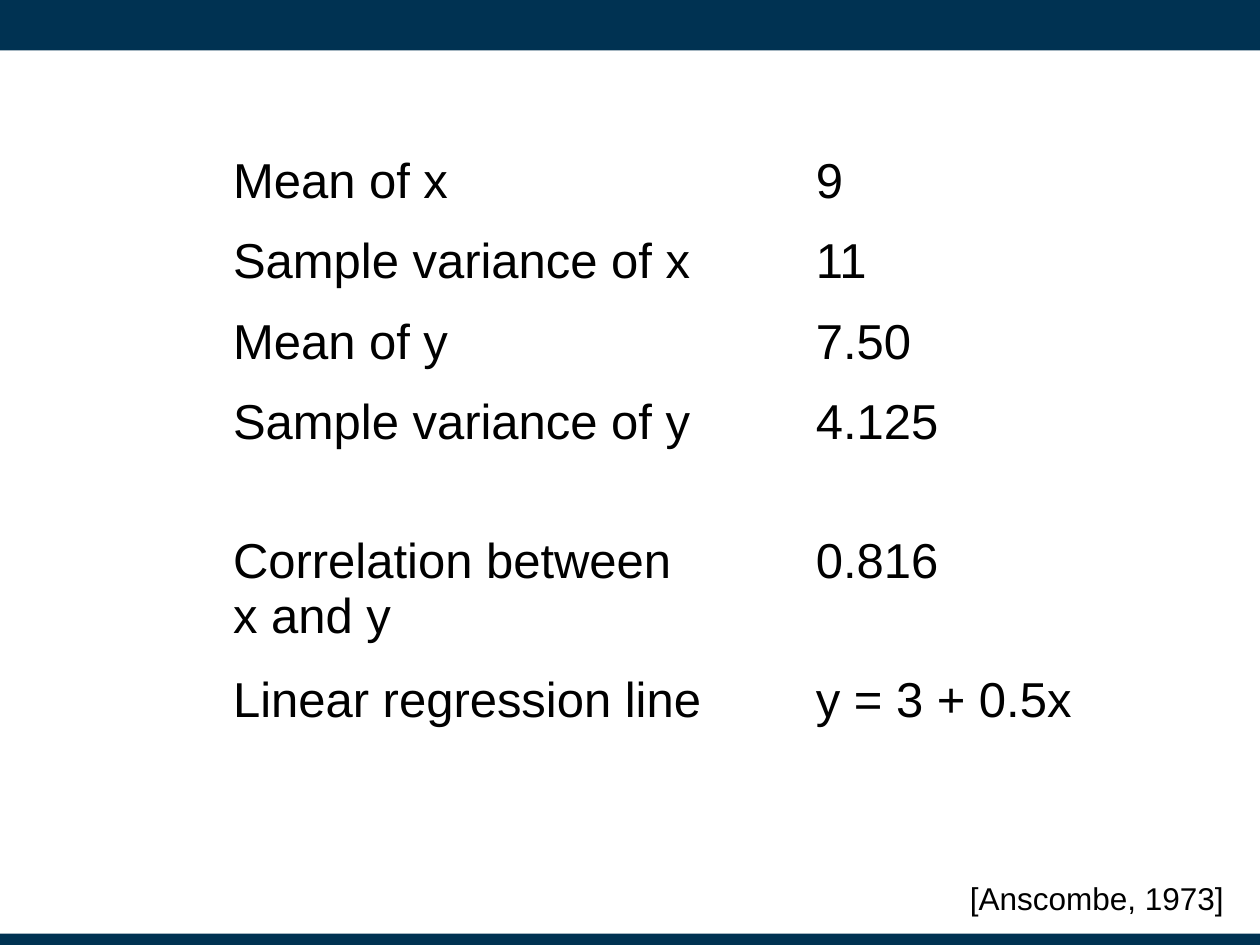
import dataclasses

import pptx
import pptx.dml.color
import pptx.enum.shapes
import pptx.util


@dataclasses.dataclass(frozen=True)
class Theme:
    font: str = "Arial"
    band: str = "003252"
    ink: str = "000000"
    table_size: int = 28
    citation_size: int = 18


THEME = Theme()
WIDTH, HEIGHT = 10, 7.5
SINGLE_ROW, DOUBLE_ROW = 0.64, 1.1

# Label lines, value, row height
STATISTICS = [
    (["Mean of x"], "9", SINGLE_ROW),
    (["Sample variance of x"], "11", SINGLE_ROW),
    (["Mean of y"], "7.50", SINGLE_ROW),
    (["Sample variance of y"], "4.125", DOUBLE_ROW),
    (["Correlation between", "x and y"], "0.816", DOUBLE_ROW),
    (["Linear regression line"], "y = 3 + 0.5x", SINGLE_ROW),
]


def inches(box):
    return [pptx.util.Inches(length) for length in box]


def color(value):
    return pptx.dml.color.RGBColor.from_string(value)


def write_lines(text_frame, lines, size):
    for index, line in enumerate(lines):
        paragraph = text_frame.add_paragraph() if index else text_frame.paragraphs[0]
        run = paragraph.add_run()
        run.text = line
        run.font.name = THEME.font
        run.font.size = pptx.util.Pt(size)
        run.font.color.rgb = color(THEME.ink)


def add_band(slide, box):
    shape = slide.shapes.add_shape(
        pptx.enum.shapes.MSO_SHAPE.RECTANGLE, *inches(box))
    shape.shadow.inherit = False
    shape.fill.solid()
    shape.fill.fore_color.rgb = color(THEME.band)
    shape.line.fill.background()


def add_statistics(slide, box):
    left, top, width = box
    height = sum(row_height for _, _, row_height in STATISTICS)
    table = slide.shapes.add_table(
        len(STATISTICS), 2, *inches((left, top, width, height))).table
    table.first_row = False
    table.horz_banding = False
    for column in table.columns:
        column.width = pptx.util.Inches(width / 2)
    for row, (label, value, row_height) in zip(table.rows, STATISTICS):
        row.height = pptx.util.Inches(row_height)
        for cell, lines in zip(row.cells, (label, [value])):
            cell.fill.background()
            write_lines(cell.text_frame, lines, THEME.table_size)


def add_citation(slide, box):
    text_frame = slide.shapes.add_textbox(*inches(box)).text_frame
    text_frame.word_wrap = False
    write_lines(text_frame, ["[Anscombe, 1973]"], THEME.citation_size)


def main():
    presentation = pptx.Presentation()
    presentation.slide_width, presentation.slide_height = inches((WIDTH, HEIGHT))
    slide = presentation.slides.add_slide(presentation.slide_layouts[6])

    # Bands along the top and bottom edges
    add_band(slide, (0, 0, WIDTH, 0.4))
    add_band(slide, (0, HEIGHT - 0.09, WIDTH, 0.09))

    # Citation and summary statistics
    add_citation(slide, (0.76 * WIDTH, 0.924 * HEIGHT, 2.24, 0.4))
    add_statistics(slide, (0.175 * WIDTH, 0.156 * HEIGHT, 9.25))

    presentation.save("out.pptx")


if __name__ == "__main__":
    main()
